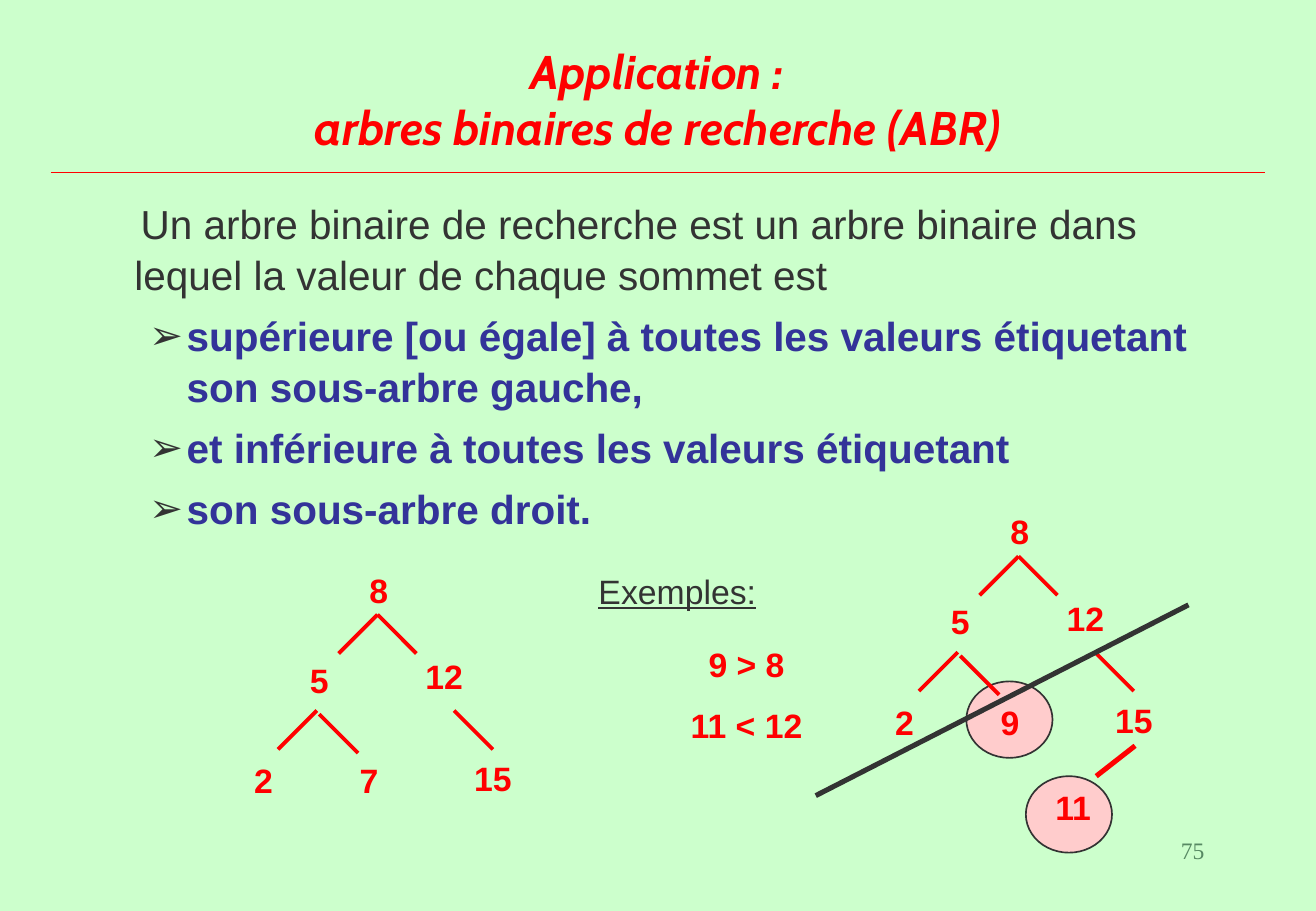
import pptx
import pptx.dml.color
import pptx.enum.shapes
import pptx.enum.text
import pptx.oxml
import pptx.oxml.ns
import pptx.util

Inches = pptx.util.Inches
Pt = pptx.util.Pt
ALIGN = pptx.enum.text.PP_ALIGN
RED, DARK, BLUE, PINK = "FF0000", "333333", "333399", "FFCCCC"
color = pptx.dml.color.RGBColor.from_string

presentation = pptx.Presentation()
presentation.slide_width = Inches(10.84)
presentation.slide_height = Inches(7.5)
slide = presentation.slides.add_slide(presentation.slide_layouts[5])
slide.background.fill.solid()
slide.background.fill.fore_color.rgb = color("CCFFCC")


def add_text(left, top, width, height, lines, align=ALIGN.CENTER, size=20,
             ink=RED, name="Arial", bold=True, gap=12.5):
    """Add a text box with one paragraph per line and return its text frame."""
    box = slide.shapes.add_textbox(Inches(left), Inches(top), Inches(width), Inches(height))
    frame = box.text_frame
    frame.word_wrap = True
    for index, line in enumerate(lines):
        paragraph = frame.paragraphs[0] if index == 0 else frame.add_paragraph()
        paragraph.alignment = align
        if index:
            paragraph.space_before = Pt(gap)
        run = paragraph.add_run()
        run.text = line
        run.font.name, run.font.size, run.font.bold = name, Pt(size), bold
        run.font.color.rgb = color(ink)
    return frame


def add_line(start, end, ink=RED, width=2.25):
    line = slide.shapes.add_connector(
        pptx.enum.shapes.MSO_CONNECTOR.STRAIGHT,
        *[Inches(value) for value in (*start, *end)])
    line.line.color.rgb = color(ink)
    line.line.width = Pt(width)
    properties = line._element.spPr
    properties.append(pptx.oxml.parse_xml(
        "<a:effectLst %s/>" % pptx.oxml.ns.nsdecls("a")))


# Title and rule
title = slide.shapes.title
title.left, title.top = Inches(0.81), Inches(0.08)
title.width, title.height = Inches(9.21), Inches(1.25)
title_frame = title.text_frame
title_frame.auto_size = pptx.enum.text.MSO_AUTO_SIZE.NONE
title_frame.vertical_anchor = pptx.enum.text.MSO_ANCHOR.BOTTOM
title_paragraph = title_frame.paragraphs[0]
title_paragraph.alignment = ALIGN.CENTER
for index, words in enumerate(("Application :", "arbres binaires de recherche (ABR)")):
    if index:
        title_paragraph.add_line_break()
    run = title_paragraph.add_run()
    run.text = words
    run.font.name, run.font.size = "Cabin", Pt(28)
    run.font.bold = run.font.italic = True
    run.font.color.rgb = color(RED)
add_line((0.42, 1.42), (10.42, 1.42), width=1)

# Definition
definition = add_text(0.63, 1.57, 9.47, 2.75, [
    "Un arbre binaire de recherche est un arbre binaire dans lequel "
    "la valeur de chaque sommet est",
    "supérieure [ou égale] à toutes les valeurs étiquetant son sous-arbre gauche,",
    "et inférieure à toutes les valeurs étiquetant",
    "son sous-arbre droit.",
], align=ALIGN.LEFT, size=24, ink=BLUE, gap=6)
for index, paragraph in enumerate(definition.paragraphs):
    paragraph.line_spacing = 1.05
    properties = paragraph._element.get_or_add_pPr()
    margin, indent = (0.81, -0.31) if index else (0.38, 0.05)
    properties.set("marL", str(Inches(margin)))
    properties.set("indent", str(Inches(indent)))
    if index:
        namespace = pptx.oxml.ns.nsdecls("a")
        for xml in (f'<a:buClr {namespace}><a:srgbClr val="{DARK}"/></a:buClr>',
                    f'<a:buFont {namespace} typeface="Arial"/>',
                    f'<a:buChar {namespace} char="➢"/>'):
            properties.append(pptx.oxml.parse_xml(xml))
introduction = definition.paragraphs[0].runs[0]
introduction.font.bold = False
introduction.font.color.rgb = color(DARK)

# Examples
examples = add_text(4.83, 4.65, 1.5, 0.44, ["Exemples:"], ink=DARK, bold=False)
examples.word_wrap = False
examples.paragraphs[0].runs[0].font.underline = True
add_text(5.33, 5.25, 1.64, 0.94, ["9 > 8", "11 < 12"])

for left, top in ((8.45, 6.39), (7.96, 5.61)):
    circle = slide.shapes.add_shape(
        pptx.enum.shapes.MSO_SHAPE.OVAL,
        Inches(left), Inches(top), Inches(0.71), Inches(0.63))
    circle.shadow.inherit = False
    circle.fill.solid()
    circle.fill.fore_color.rgb = color(PINK)
    circle.line.color.rgb = color(DARK)
    circle.line.width = Pt(1)

# Both trees share one layout, measured from the centre of the root
NODE_WIDTH, NODE_HEIGHT = 0.8, 0.44
node_centres = ((0, 0), (-0.49, 0.74), (0.54, 0.71),
                (-0.95, 1.57), (-0.08, 1.57), (0.94, 1.55))
branch_tops = ((-0.01, 0.2, -1), (-0.01, 0.2, 1), (-0.51, 0.99, -1),
               (-0.49, 1.02, 1), (0.62, 0.99, 1))
BRANCH = 0.32
trees = ((3.12, 4.86, ("8", "5", "12", "2", "7", "15")),
         (8.4, 4.38, ("8", "5", "12", "2", "9", "15")))
for root_x, root_y, labels in trees:
    for label, (x, y) in zip(labels, node_centres):
        add_text(root_x + x - NODE_WIDTH / 2, root_y + y - NODE_HEIGHT / 2,
                 NODE_WIDTH, NODE_HEIGHT, [label])
    for x, y, side in branch_tops:
        start = (root_x + x, root_y + y)
        add_line(start, (start[0] + side * BRANCH, start[1] + BRANCH))

# The misplaced leaf and the stroke that rejects the second tree
add_text(8.44, 6.43, NODE_WIDTH, NODE_HEIGHT, ["11"])
add_line((6.72, 6.55), (9.79, 4.98), DARK, 3)
add_line((9.35, 6.14), (9.03, 6.39), RED, 3)

add_text(7.76, 6.83, 2.26, 0.5, ["75"], align=ALIGN.RIGHT, size=14,
         ink="578963", name="Times New Roman", bold=False)

presentation.save("out.pptx")
